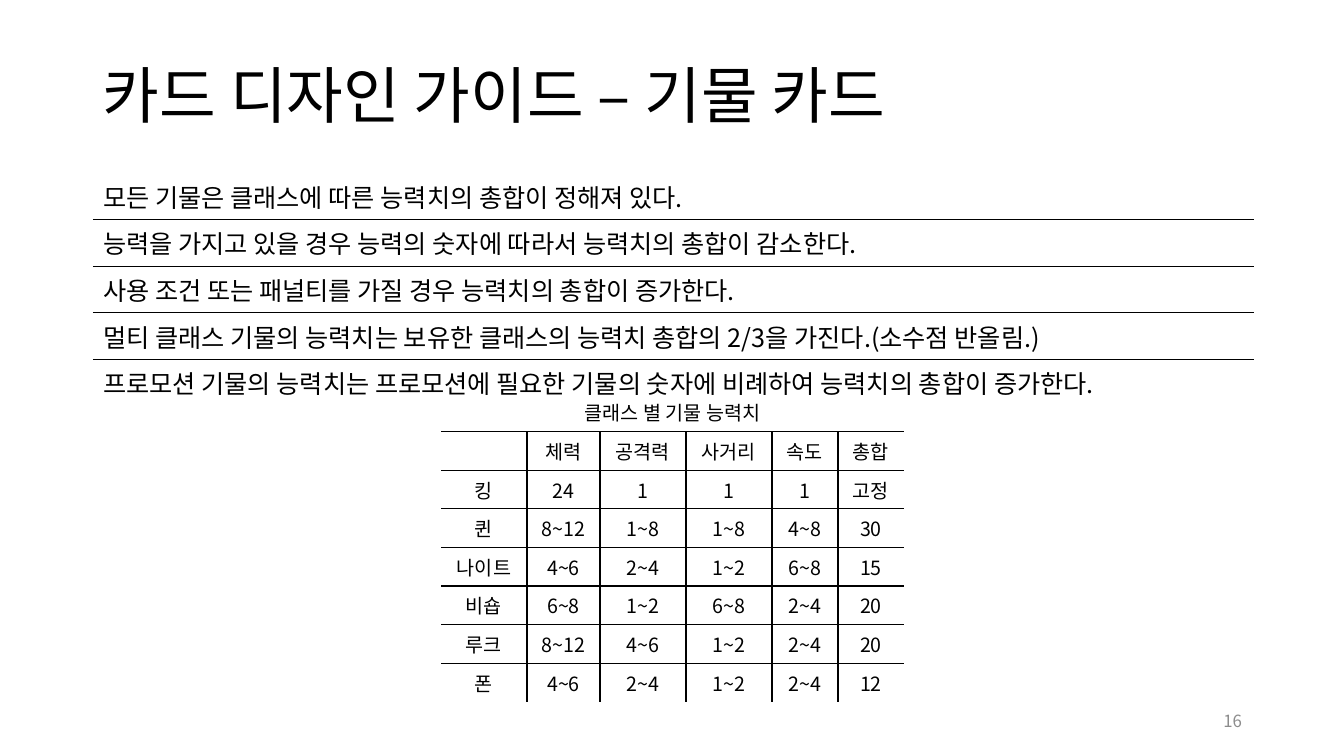
from dataclasses import dataclass
from lxml.etree import SubElement
from pptx import Presentation
from pptx.dml.color import RGBColor
from pptx.enum.text import MSO_ANCHOR, PP_ALIGN
from pptx.oxml.ns import qn
from pptx.util import Emu, Pt

SCALE = 914400 / 100.8


@dataclass(frozen=True)
class Theme:
    face: str = "Noto Sans CJK KR"
    ink: str = "000000"
    gray: str = "8C8C8C"
    head: int = 44
    body: int = 18
    grid: int = 14
    page: int = 12
    rule: int = 1


THEME = Theme()

RULES = [
    ["모든 기물은 클래스에 따른 능력치의 총합이 정해져 있다."],
    ["능력을 가지고 있을 경우 능력의 숫자에 따라서 능력치의 총합이 감소한다."],
    ["사용 조건 또는 패널티를 가질 경우 능력치의 총합이 증가한다."],
    ["멀티 클래스 기물의 능력치는 보유한 클래스의 능력치 총합의 2/3을 가진다.(소수점 반올림.)"],
    ["프로모션 기물의 능력치는 프로모션에 필요한 기물의 숫자에 비례하여 능력치의 총합이 증가한다."],
]

STATS = [
    ["클래스 별 기물 능력치", "", "", "", "", ""],
    ["", "체력", "공격력", "사거리", "속도", "총합"],
    ["킹", "24", "1", "1", "1", "고정"],
    ["퀸", "8~12", "1~8", "1~8", "4~8", "30"],
    ["나이트", "4~6", "2~4", "1~2", "6~8", "15"],
    ["비숍", "6~8", "1~2", "6~8", "2~4", "20"],
    ["루크", "8~12", "4~6", "1~2", "2~4", "20"],
    ["폰", "4~6", "2~4", "1~2", "2~4", "12"],
]


def px(n):
    return Emu(round(n * SCALE))


def write(frame, text, size, color=THEME.ink, align=PP_ALIGN.LEFT):
    para = frame.paragraphs[0]
    para.text = text
    para.alignment = align
    font = para.font
    font.size = Pt(size)
    font.name = THEME.face
    font.color.rgb = RGBColor.from_string(color)
    return para


def label(slide, box, text, size, color=THEME.ink, align=PP_ALIGN.LEFT):
    frame = slide.shapes.add_textbox(*map(px, box)).text_frame
    frame.word_wrap = True
    frame.vertical_anchor = MSO_ANCHOR.MIDDLE
    return write(frame, text, size, color, align)


def edge(cell, sides):
    props = cell._tc.get_or_add_tcPr()
    for side in "LRTB":
        line = SubElement(props, qn("a:ln" + side), w=str(Pt(THEME.rule)))
        if side in sides:
            fill = SubElement(line, qn("a:solidFill"))
            SubElement(fill, qn("a:srgbClr"), val=THEME.ink)
        else:
            SubElement(line, qn("a:noFill"))
    cell.fill.background()


def table(slide, box, data, widths, size, align, anchor, title=False):
    last_row, last_col = len(data) - 1, len(widths) - 1
    grid = slide.shapes.add_table(len(data), len(widths), *map(px, box)).table
    grid.first_row = grid.horz_banding = False
    for col, width in zip(grid.columns, widths):
        col.width = px(width)
    for r, row in enumerate(data):
        for c, text in enumerate(row):
            cell = grid.cell(r, c)
            inner = not (title and r == 0)
            sides = ("T" if r else "") + ("B" if r < last_row else "")
            if inner:
                sides += ("L" if c else "") + ("R" if c < last_col else "")
            edge(cell, sides)
            cell.vertical_anchor = anchor
            write(cell.text_frame, text, size, align=align)
    if title:
        grid.cell(0, 0).merge(grid.cell(0, last_col))


def guide(slide, box):
    left, top, width, high = box
    head = label(slide, (left, top + 40, width, 118), "카드 디자인 가이드 – 기물 카드", THEME.head)
    head.line_spacing = 0.9
    label(slide, (left + width - 302, top + high - 55, 302, 40), "16",
          THEME.page, THEME.gray, PP_ALIGN.RIGHT)
    table(slide, (left, top + 173, width + 2, 233), RULES, [width + 2],
          THEME.body, PP_ALIGN.LEFT, MSO_ANCHOR.TOP)
    cols = [86, 73, 86, 86, 66, 66]
    table(slide, (left + 348, top + 393, sum(cols), 309), STATS, cols,
          THEME.grid, PP_ALIGN.CENTER, MSO_ANCHOR.MIDDLE, title=True)


def main():
    deck = Presentation()
    deck.slide_width, deck.slide_height = px(1344), px(756)
    slide = deck.slides.add_slide(deck.slide_layouts[6])
    guide(slide, (93, 0, 1159, 756))
    deck.save("out.pptx")


if __name__ == "__main__":
    main()
